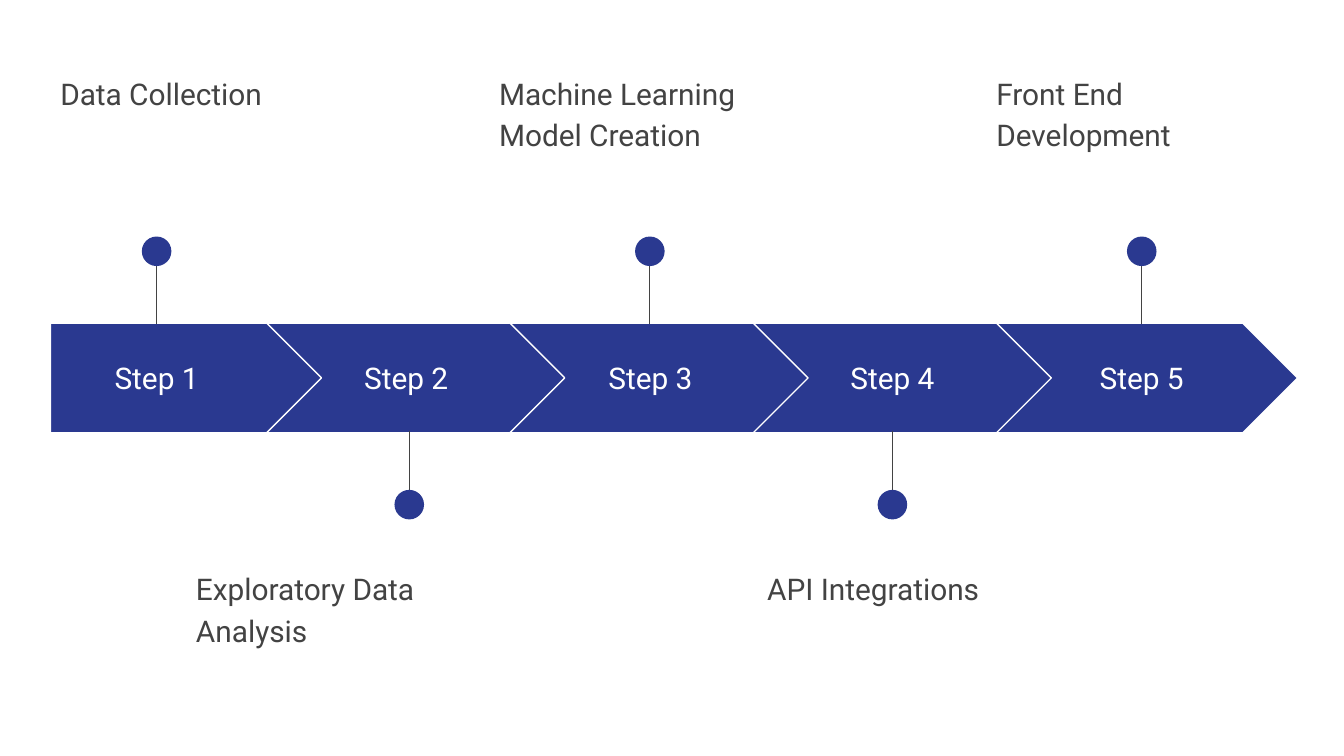
import pptx
import pptx.util
import pptx.dml.color
import pptx.enum.shapes
import pptx.enum.text
from lxml import etree

SHAPE = pptx.enum.shapes.MSO_SHAPE
ALIGN = pptx.enum.text.PP_ALIGN
ANCHOR = pptx.enum.text.MSO_ANCHOR

EMU_PER_PX = 4572  # 200 px to the inch
COLORS = {"blue": "2A3990", "gray": "434343", "white": "FFFFFF"}

BAND_TOP, BAND_HEIGHT = 481, 163
CHEVRON_LEFT, CHEVRON_WIDTH, CHEVRON_PITCH = 397, 448, 362
DOT = 44

# label, label left, label width, pin centre, caption left, caption
STEPS = [
    ("Step 1", 74, 318, 233, 70, "Data Collection"),
    ("Step 2 ", 466, 288, 609, 272, "Exploratory Data Analysis"),
    ("Step 3", 824, 288, 967, 723, "Machine Learning Model Creation"),
    ("Step 4", 1184, 288, 1328, 1122, "API Integrations"),
    ("Step 5", 1555, 288, 1699, 1463, "Front End Development"),
]


def px(*values):
    return [pptx.util.Emu(v * EMU_PER_PX) for v in values]


def rgb(name):
    return pptx.dml.color.RGBColor.from_string(COLORS[name])


class Deck:
    font, size, line_width = "Roboto", 16, 0.75

    def __init__(self, width, height):
        self.prs = pptx.Presentation()
        self.prs.slide_width, self.prs.slide_height = px(width, height)
        self.s = self.prs.slides.add_slide(self.prs.slide_layouts[6])

    def shape(self, kind, x, y, w, h, outline=None, parent=None):
        sp = (parent or self.s).shapes.add_shape(kind, *px(x, y, w, h))
        sp.shadow.inherit = False
        sp.fill.solid()
        sp.fill.fore_color.rgb = rgb("blue")
        if outline:
            sp.line.color.rgb = rgb(outline)
            sp.line.width = pptx.util.Pt(self.line_width)
        else:
            sp.line.fill.background()
        return sp

    def line(self, x1, y1, x2, y2, parent):
        cx = parent.shapes.add_connector(
            pptx.enum.shapes.MSO_CONNECTOR.STRAIGHT, *px(x1, y1, x2, y2))
        cx.line.color.rgb = rgb("gray")
        cx.line.width = pptx.util.Pt(self.line_width)
        etree.SubElement(cx._element.spPr, pptx.oxml.ns.qn("a:effectLst"))

    def text(self, text, x, y, w, h, color, align=ALIGN.LEFT, anchor=ANCHOR.TOP):
        tf = self.s.shapes.add_textbox(*px(x, y, w, h)).text_frame
        tf.word_wrap = True
        tf.vertical_anchor = anchor
        tf.margin_left, tf.margin_top, tf.margin_right, tf.margin_bottom = px(20, 20, 20, 20)
        tf.text = text
        p = tf.paragraphs[0]
        p.alignment = align
        font = p.runs[0].font
        font.name, font.size = self.font, pptx.util.Pt(self.size)
        font.color.rgb = rgb(color)
        return p

    def pin(self, x, above):
        """Stem and dot pointing out of the band."""
        stem_start, stem_end, dot_top = (360, 482, 352) if above else (764, 642, 729)
        group = self.s.shapes.add_group_shape()
        self.line(x, stem_start, x, stem_end, group)
        self.shape(SHAPE.OVAL, x - DOT // 2, dot_top, DOT, DOT, parent=group)

    def caption(self, text, x, above):
        p = self.text(text, x, 84 if above else 822, 490, 198, "gray")
        p.line_spacing = 1.15
        p.space_after = pptx.util.Pt(16)

    def step(self, index, label, label_x, label_w, pin_x, caption_x, caption):
        above = index % 2 == 0
        if index == 0:
            kind, x, w = SHAPE.PENTAGON, 75, 409
        else:
            kind, w = SHAPE.CHEVRON, CHEVRON_WIDTH
            x = CHEVRON_LEFT + (index - 1) * CHEVRON_PITCH
        self.shape(kind, x, BAND_TOP, w, BAND_HEIGHT, "white").adjustments[0] = 0.5
        self.text(label, label_x, 511, label_w, 102, "white",
                  ALIGN.CENTER, ANCHOR.MIDDLE)
        self.pin(pin_x, above)
        self.caption(caption, caption_x, above)


def main():
    deck = Deck(2000, 1125)
    for index, step in enumerate(STEPS):
        deck.step(index, *step)
    deck.prs.save("out.pptx")


if __name__ == "__main__":
    main()
